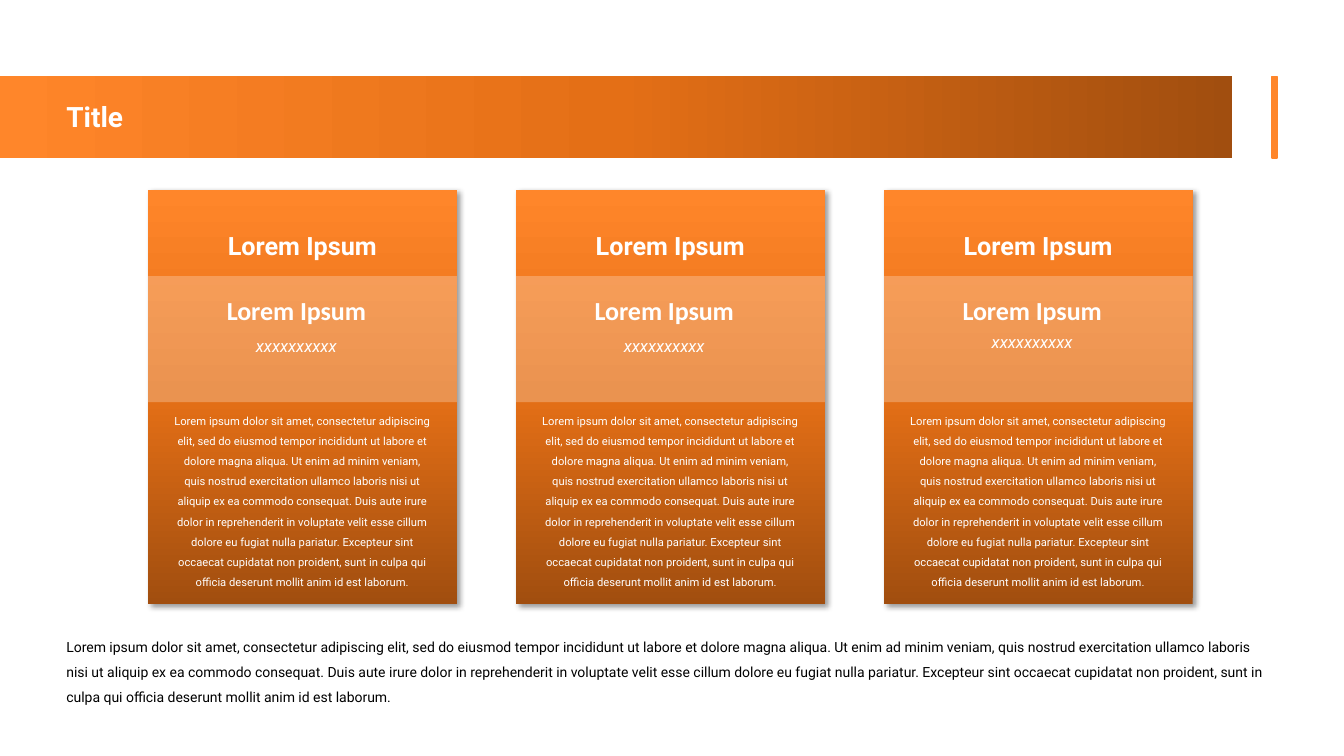
import copy

import pptx
import pptx.dml.color
import pptx.enum.shapes
import pptx.enum.text
import pptx.oxml.ns
import pptx.util
from lxml import etree

Pt = pptx.util.Pt
qn = pptx.oxml.ns.qn
LEFT = pptx.enum.text.PP_ALIGN.LEFT
CENTER = pptx.enum.text.PP_ALIGN.CENTER

COLOURS = {
    "dark": "A14E0F",
    "middle": "E46F16",
    "bright": "FF862A",
    "white": "FFFFFF",
    "black": "000000",
}

LOREM = (
    "Lorem ipsum dolor sit amet, consectetur adipiscing elit, sed do eiusmod "
    "tempor incididunt ut labore et dolore magna aliqua. Ut enim ad minim veniam, "
    "quis nostrud exercitation ullamco laboris nisi ut aliquip ex ea commodo "
    "consequat. Duis aute irure dolor in reprehenderit in voluptate velit esse "
    "cillum dolore eu fugiat nulla pariatur. Excepteur sint occaecat cupidatat non "
    "proident, sunt in culpa qui officia deserunt mollit anim id est laborum."
)

TITLE = {"name": "Roboto", "size": Pt(20), "bold": True}
HEADING = {"name": "Roboto", "size": Pt(18), "bold": True}
SUBHEADING = {"name": "Calibri", "size": Pt(32), "bold": True}
CAPTION = {"name": "Roboto", "size": Pt(12), "italic": True}
DESCRIPTION = {"name": "Roboto", "size": Pt(8)}
SUMMARY = {"name": "Roboto", "size": Pt(10)}
SPACED = {"line_spacing": 1.5, "space_after": Pt(18)}

CARD_LEFT = 105.84
CARD_STEP = 262.8
CARD_WIDTH = 220.5
CAPTION_TOPS = [229, 229, 226.1]


def rgb(colour):
    return pptx.dml.color.RGBColor.from_string(COLOURS[colour])


def apply_format(target, values):
    for attribute, value in values.items():
        setattr(target, attribute, value)


def add_rectangle(shapes, left, top, width, height):
    rectangle = shapes.add_shape(
        pptx.enum.shapes.MSO_SHAPE.RECTANGLE, Pt(left), Pt(top), Pt(width), Pt(height)
    )
    rectangle.shadow.inherit = False
    rectangle.line.fill.background()
    return rectangle


def fill_solid(shape, colour):
    shape.fill.solid()
    shape.fill.fore_color.rgb = rgb(colour)


def fill_gradient(shape, angle):
    shape.fill.gradient()
    shape.fill.gradient_angle = angle
    stop_list = shape._element.spPr.find(".//" + qn("a:gsLst"))
    stop_list.insert(1, copy.deepcopy(stop_list[0]))
    stops = zip(shape.fill.gradient_stops, ("dark", "middle", "bright"), (0, 0.5, 1))
    for stop, colour, position in stops:
        stop.color.rgb = rgb(colour)
        stop.position = position


def set_alpha(colour_element, percent):
    etree.SubElement(colour_element, qn("a:alpha"), val=str(percent * 1000))


def add_shadow(shape):
    effects = shape._element.spPr.find(qn("a:effectLst"))
    shadow = etree.SubElement(
        effects,
        qn("a:outerShdw"),
        blurRad=str(Pt(4)),
        dist=str(Pt(3)),
        dir="2700000",
        algn="tl",
        rotWithShape="0",
    )
    tint = etree.SubElement(shadow, qn("a:srgbClr"), val=COLOURS["black"])
    set_alpha(tint, 40)


def add_text(shapes, box, text, font, colour="white", align=CENTER, spacing=SPACED, wrap=True):
    textbox = shapes.add_textbox(*map(Pt, box))
    frame = textbox.text_frame
    frame.word_wrap = wrap
    frame.auto_size = pptx.enum.text.MSO_AUTO_SIZE.SHAPE_TO_FIT_TEXT
    paragraph = frame.paragraphs[0]
    apply_format(paragraph, {"alignment": align, **spacing})
    run = paragraph.add_run()
    run.text = text
    apply_format(run.font, font)
    run.font.color.rgb = rgb(colour)
    return run


def add_header(shapes):
    banner = add_rectangle(shapes, 0, 54.5, 880, 58.3)
    fill_gradient(banner, 180)
    accent = add_rectangle(shapes, 908.6, 54.7, 3.6, 58.3)
    fill_solid(accent, "bright")
    accent.line.color.rgb = rgb("bright")
    accent.line.width = Pt(1)
    add_text(shapes, (40.3, 67.7, 800, 31.7), "Title", TITLE, align=LEFT, spacing={})


def add_card(slide, left, caption_top):
    shapes = slide.shapes.add_group_shape().shapes
    panel = add_rectangle(shapes, left, 135.5, CARD_WIDTH, 295.9)
    fill_gradient(panel, 90)
    add_shadow(panel)
    band = add_rectangle(shapes, left, 197.3, CARD_WIDTH, 90)
    fill_solid(band, "white")
    set_alpha(band._element.spPr.find(".//" + qn("a:srgbClr")), 25)

    add_text(shapes, (left + 5, 150.5, 210.2, 36), "Lorem Ipsum", HEADING)
    subheading = add_text(
        shapes, (left + 43.2, 203, 125.3, 46), "Lorem Ipsum", SUBHEADING, spacing={}, wrap=False
    )
    subheading.font._element.set("baseline", "30000")
    add_text(shapes, (left + 57.6, caption_top, 96.5, 26.6), "xxxxxxxxxx", CAPTION)
    add_text(shapes, (left + 10.1, 287.6, 200.2, 136), LOREM, DESCRIPTION)


def main():
    presentation = pptx.Presentation()
    presentation.slide_width = Pt(960)
    presentation.slide_height = Pt(540)
    slide = presentation.slides.add_slide(presentation.slide_layouts[6])

    add_header(slide.shapes)
    for column, caption_top in enumerate(CAPTION_TOPS):
        add_card(slide, CARD_LEFT + column * CARD_STEP, caption_top)
    add_text(slide.shapes, (40.3, 446.4, 872.6, 59.8), LOREM, SUMMARY, "black", LEFT)

    presentation.save("out.pptx")


if __name__ == "__main__":
    main()
